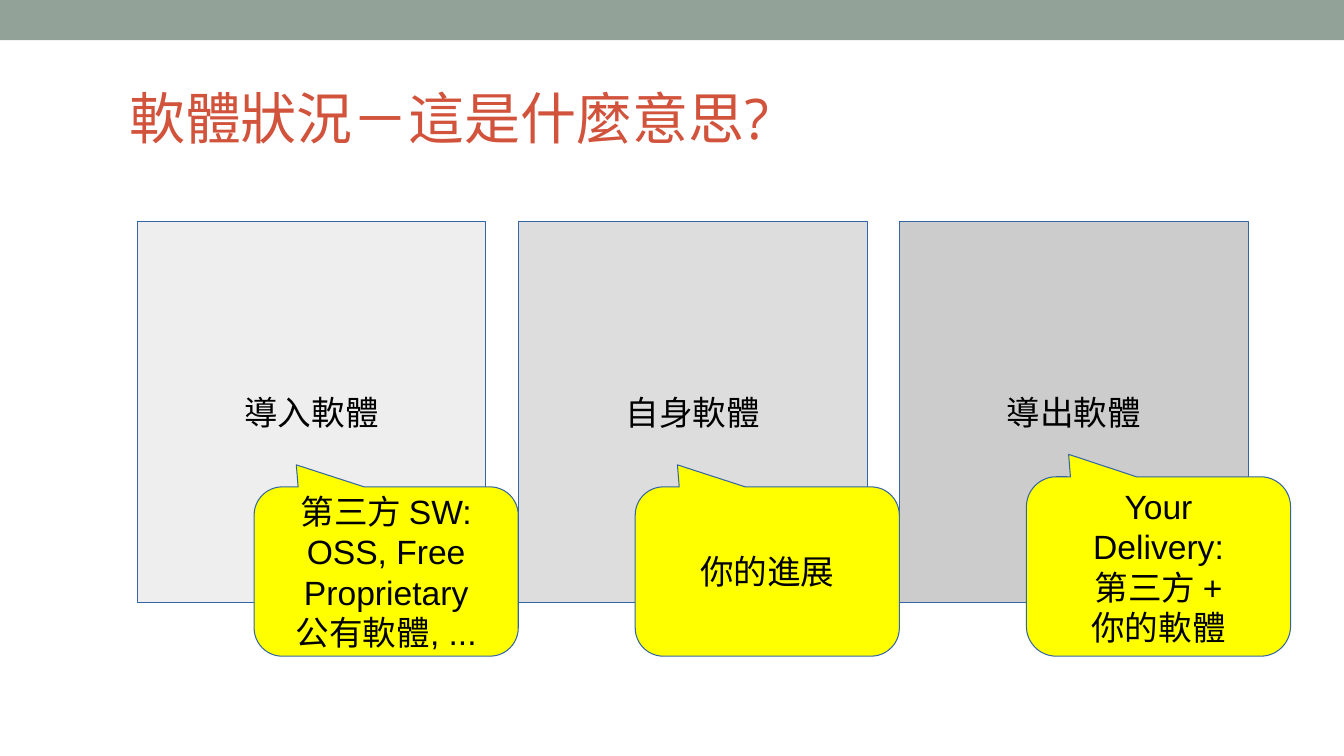
from pptx import Presentation
from pptx.dml.color import RGBColor
from pptx.enum.shapes import MSO_SHAPE
from pptx.enum.text import MSO_ANCHOR, MSO_AUTO_SIZE, PP_ALIGN
from pptx.util import Inches, Pt

TITLE = "軟體狀況－這是什麼意思?"
# "\n" starts a paragraph, "\v" breaks a line inside one
STAGES = [
    # label, grey, callout text, callout offset right, callout height, tip height
    ("導入軟體", RGBColor(0xEE, 0xEE, 0xEE),
     "第三方 SW:\vOSS, Free\nProprietary\v公有軟體, ...", 0, 1.68, -0.63),
    ("自身軟體", RGBColor(0xDD, 0xDD, 0xDD), "你的進展", 0, 1.68, -0.63),
    ("導出軟體", RGBColor(0xCC, 0xCC, 0xCC),
     "Your\vDelivery:\n第三方 +\v你的軟體", 0.1, 1.78, -0.625),
]

BAND = RGBColor(0x93, 0xA2, 0x99)
TITLE_RED = RGBColor(0xD2, 0x53, 0x3C)
YELLOW = RGBColor(0xFF, 0xFF, 0x00)
OUTLINE = RGBColor(0x34, 0x65, 0xA4)
BLACK = RGBColor(0, 0, 0)

WIDTH, HEIGHT = 13.33, 7.5
LEFT, TOP, PITCH = 1.36, 2.2, 3.78
BOX_W, BOX_H = 3.46, 3.78
CALLOUT_DX, CALLOUT_W, CALLOUT_BOTTOM = 1.16, 2.62, 6.51


def add_box(s, kind, x, y, w, h, fill, text=None):
    """Add a filled shape; one with text also gets an outline."""
    sp = s.shapes.add_shape(kind, Inches(x), Inches(y), Inches(w), Inches(h))
    sp.shadow.inherit = False
    sp.fill.solid()
    sp.fill.fore_color.rgb = fill
    if text is None:
        sp.line.fill.background()
        return sp
    sp.line.color.rgb = OUTLINE
    sp.line.width = Pt(0.75)
    tf = sp.text_frame
    tf.word_wrap = True
    tf.vertical_anchor = MSO_ANCHOR.MIDDLE
    tf.text = text
    for p in tf.paragraphs:
        p.alignment = PP_ALIGN.CENTER
        p.font.name = "Arial"
        p.font.size = Pt(24)
        p.font.color.rgb = BLACK
    return sp


def set_title(s):
    title = s.shapes.title
    title.left, title.top = Inches(1.28), Inches(0.5)
    title.width, title.height = Inches(11.95), Inches(1)
    tf = title.text_frame
    tf.margin_left = tf.margin_right = tf.margin_top = tf.margin_bottom = 0
    tf.vertical_anchor = MSO_ANCHOR.BOTTOM
    tf.auto_size = MSO_AUTO_SIZE.NONE
    tf.text = TITLE
    p = tf.paragraphs[0]
    p.alignment = PP_ALIGN.LEFT
    p.font.name = "Open Sans"
    p.font.size = Pt(40)
    p.font.color.rgb = TITLE_RED


def main():
    prs = Presentation()
    prs.slide_width, prs.slide_height = Inches(WIDTH), Inches(HEIGHT)
    s = prs.slides.add_slide(prs.slide_layouts[5])
    add_box(s, MSO_SHAPE.RECTANGLE, 0, 0, WIDTH, 0.4, BAND)
    set_title(s)

    for i, (label, grey, *_) in enumerate(STAGES):
        add_box(s, MSO_SHAPE.RECTANGLE, LEFT + i * PITCH, TOP,
                BOX_W, BOX_H, grey, label)
    for i, (_, _, note, shift, h, tip) in enumerate(STAGES):
        callout = add_box(s, MSO_SHAPE.ROUNDED_RECTANGULAR_CALLOUT,
                          LEFT + i * PITCH + CALLOUT_DX + shift,
                          CALLOUT_BOTTOM - h, CALLOUT_W, h, YELLOW, note)
        callout.adjustments[0] = -0.34
        callout.adjustments[1] = tip

    prs.save("out.pptx")


if __name__ == "__main__":
    main()
